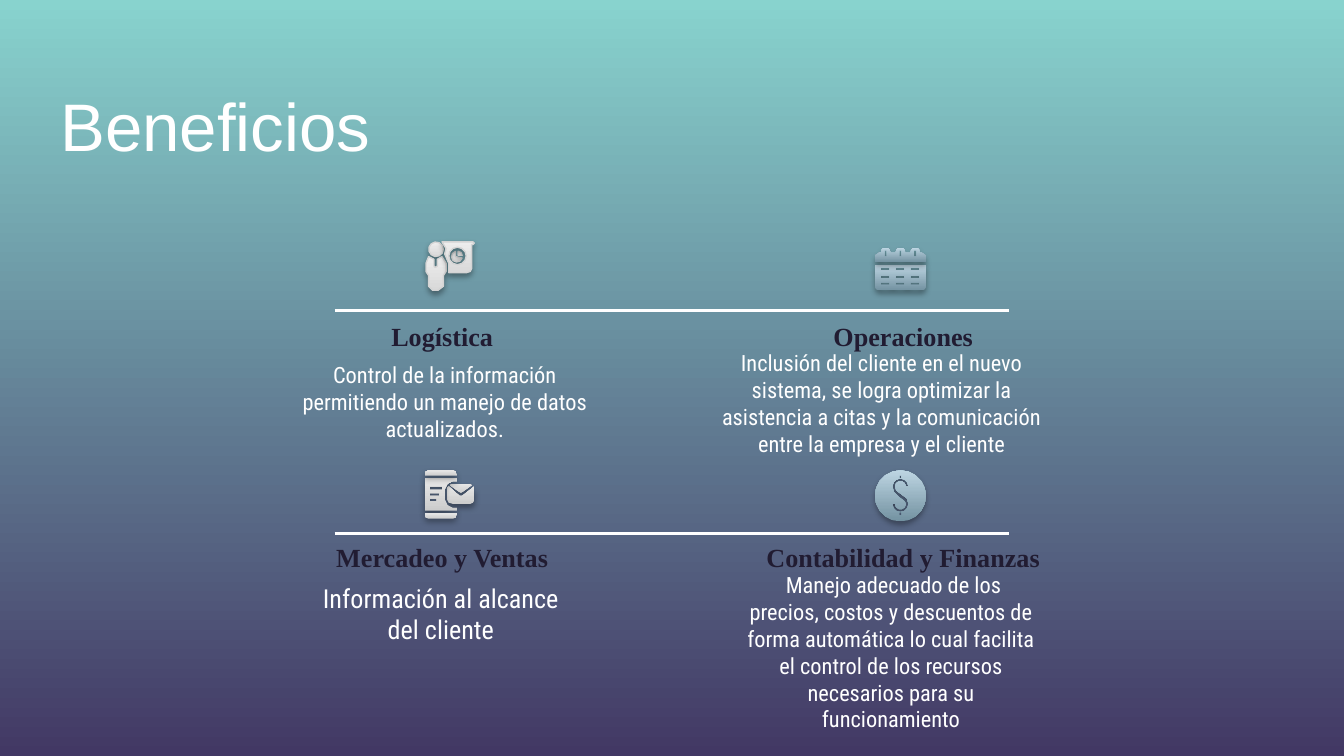
import math
from dataclasses import dataclass

from lxml import etree
from pptx import Presentation
from pptx.dml.color import RGBColor
from pptx.enum import shapes, text
from pptx.oxml import ns
from pptx.util import Pt


@dataclass(frozen=True)
class Theme:
    sky: str = "88D3CE"
    dusk: str = "423864"
    white: str = "FFFFFF"
    ink: str = "211C32"
    outline: str = "D4D4D4"
    pale: tuple = ("D9D9D9", "EDEDED")
    grey: tuple = ("CCCCCC", "E7E7E7")
    blue: tuple = ("7392A1", "BDD5E2")
    title_font: str = "Arial"
    head_font: str = "Times New Roman"
    body_font: str = "Roboto Condensed"
    title_size: int = 36
    head_size: int = 14
    body_size: int = 12


THEME = Theme()
GRID = 0.72  # points per step of the icon grid
SHADOW = (
    f'<a:effectLst {ns.nsdecls("a")}>'
    f'<a:outerShdw blurRad="{Pt(3.1)}" dist="{Pt(1.8)}" dir="5400000" algn="bl" rotWithShape="0">'
    '<a:srgbClr val="000000"><a:alpha val="35000"/></a:srgbClr>'
    '</a:outerShdw></a:effectLst>'
)


def rgb(value):
    return RGBColor.from_string(value)


def set_gradient(fill, colors, angle):
    fill.gradient()
    fill.gradient_angle = angle
    for stop, color in zip(fill.gradient_stops, colors):
        stop.color.rgb = rgb(color)


def add_text(s, box, words, font, size, color, bold=False,
             align=text.PP_ALIGN.CENTER, anchor=text.MSO_ANCHOR.TOP):
    tf = s.shapes.add_textbox(*map(Pt, box)).text_frame
    tf.word_wrap = True
    tf.vertical_anchor = anchor
    tf.margin_left = tf.margin_right = tf.margin_top = tf.margin_bottom = Pt(7.2)
    p = tf.paragraphs[0]
    p.text = words
    p.alignment = align
    f = p.runs[0].font
    f.name, f.size, f.bold = font, Pt(size), bold
    f.color.rgb = rgb(color)


def add_rule(s, y):
    line = s.shapes.add_connector(
        shapes.MSO_CONNECTOR.STRAIGHT, Pt(179.3), Pt(y), Pt(540.7), Pt(y))
    line.line.color.rgb = rgb(THEME.white)
    line.line.width = Pt(1.5)
    etree.SubElement(line._element.spPr, ns.qn("a:effectLst"))


def arc(cx, cy, r, start=0, end=360):
    """Points along an arc, more for a larger one; degrees run clockwise from the right."""
    steps = math.ceil(abs(end - start) / 80 * math.sqrt(r))
    angles = (math.radians(start + (end - start) * i / steps) for i in range(steps + 1))
    return [(cx + r * math.cos(a), cy + r * math.sin(a)) for a in angles]


def box(x, y, w, h):
    return [(x, y), (x + w, y), (x + w, y + h), (x, y + h)]


def round_top(x, y, w, h, r=3):
    return (arc(x + r, y + r, r, 180, 270) + arc(x + w - r, y + r, r, 270, 360)
            + [(x + w, y + h), (x, y + h)])


def round_bottom(x, y, w, h):
    return [(px, 2 * y + h - py) for px, py in round_top(x, y, w, h)]


def add_icon(s, left, top, parts, colors, outline=None):
    """Each part is a list of contours; the contours inside another are holes."""
    group = s.shapes.add_group_shape()
    for contours in parts:
        placed = [[(Pt(left + x * GRID), Pt(top + y * GRID)) for x, y in c] for c in contours]
        builder = group.shapes.build_freeform(*placed[0][0])
        builder.add_line_segments(placed[0][1:], close=True)
        for contour in placed[1:]:
            builder.move_to(*contour[0])
            builder.add_line_segments(contour[1:], close=True)
        sp = builder.convert_to_shape()
        set_gradient(sp.fill, colors, 90)
        if outline:
            sp.line.color.rgb = rgb(outline)
            sp.line.width = Pt(0.75)
        else:
            sp.line.fill.background()
        sp._element.spPr.append(etree.fromstring(SHADOW))


def presenter_parts():
    body = [(2, 11), (0, 16), (0, 22), (2, 25), (2, 33), (5, 36), (9, 36), (13, 33),
            (13, 25), (15, 22), (15, 16), (12, 11), (8.5, 13), (8.5, 18), (7, 19),
            (6, 18), (6, 13)]
    board = [(12, 0), (15, 5), (14, 9), (17, 16), (17, 23), (30, 23), (33, 22),
             (34, 20), (34, 2), (35, 2), (36, 1), (35, 0)]
    pie = arc(23, 11, 4, 255, 15) + [(22, 11)]
    wedge = arc(24, 10, 3, 270, 360) + [(24, 10)]
    return [[arc(7.5, 5.5, 5.4)], [pie], [wedge], [body], [board, arc(23.5, 10.5, 6.5)]]


def calendar_parts():
    tabs = (8, 19, 30)
    top = [(0, 11), (0, 6), (3, 4)]
    for x in tabs:
        top += arc(x, 3.5, 3.5, 180, 360) + [(x + 3.5, 4), (x + 7.5, 4)]
    top[-1:] = [(35, 4), (38, 6), (38, 11)]
    days = [box(x - 3.5, y, 6.5, 2) for y in (15, 21, 26) for x in tabs]
    return [[round_bottom(0, 13, 38, 19)] + days,
            [top] + [box(x - 1, 2, 2, 5) for x in tabs]]


def phone_parts():
    screen = [(0, 6), (0, 30), (24, 30), (24, 28), (21, 28), (17, 26), (15, 22), (15, 14),
              (17, 10), (21, 8), (24, 8), (24, 6)]
    flap = [(19, 11), (21, 10), (33, 10), (35, 11), (27, 17)]
    envelope = [(18, 12), (17, 13), (17, 22), (18, 24), (21, 25), (34, 25), (36, 24),
                (37, 22), (37, 12), (28, 19), (26, 19)]
    lines = [box(4, 12, 9, 2.5), box(4, 17, 7, 2), box(4, 21, 5, 2)]
    return [[flap], [envelope], [screen] + lines,
            [round_top(0, 0, 24, 4)], [round_bottom(0, 32, 24, 4)]]


def coin_parts():
    dollar = (arc(19, 12, 6, 0, -180) + [(14, 16), (18, 20), (22, 23)]
              + arc(19, 25, 4, 0, 180) + arc(19, 25, 6, 180, 0)
              + [(24, 21), (20, 18), (16, 15)] + arc(19, 12, 4, 180, 360))
    return [[arc(19, 19, 19), dollar, box(18, 3.5, 2, 2.5), box(18, 31, 2, 2.5)]]


def main():
    prs = Presentation()
    prs.slide_width, prs.slide_height = Pt(720), Pt(405)
    s = prs.slides.add_slide(prs.slide_layouts[6])
    set_gradient(s.background.fill, (THEME.sky, THEME.dusk), 270)
    for y in (166.3, 285.8):
        add_rule(s, y)
    add_text(s, (25.2, 38.2, 661, 52.6), "Beneficios", THEME.title_font,
             THEME.title_size, THEME.white, align=text.PP_ALIGN.LEFT)

    left, right, upper, lower = 133.2, 380.2, 150.5, 268.6
    benefits = (
        (left, upper, "Logística", (150.5, 186.5, 175.7, 38.9), THEME.body_size,
         "Control de la información permitiendo un manejo de datos actualizados."),
        (left, lower, "Mercadeo y Ventas", (161.3, 304.6, 149.8, 28.8), THEME.head_size,
         "Información al alcance del cliente"),
        (right, upper, "Operaciones", (375.8, 180, 193, 28.8), THEME.body_size,
         "Inclusión del cliente en el nuevo sistema, se logra optimizar la asistencia "
         "a citas y la comunicación entre la empresa y el cliente"),
        (right, lower, "Contabilidad y Finanzas", (392.4, 298.8, 169.9, 28.8), THEME.body_size,
         " Manejo adecuado de los precios, costos y descuentos de forma automática lo cual "
         "facilita el control de los recursos necesarios para su funcionamiento"),
    )
    for x, y, heading, area, size, words in benefits:
        add_text(s, (x, y, 207.4, 45.4), heading, THEME.head_font, THEME.head_size,
                 THEME.ink, bold=True, anchor=text.MSO_ANCHOR.BOTTOM)
        add_text(s, area, words, THEME.body_font, size, THEME.white)

    add_icon(s, 228.2, 129.6, presenter_parts(), THEME.pale, THEME.outline)
    add_icon(s, 468.7, 252, coin_parts(), THEME.blue)
    add_icon(s, 227.5, 252, phone_parts(), THEME.grey)
    add_icon(s, 468.7, 132.5, calendar_parts(), THEME.blue)
    prs.save("out.pptx")


if __name__ == "__main__":
    main()
